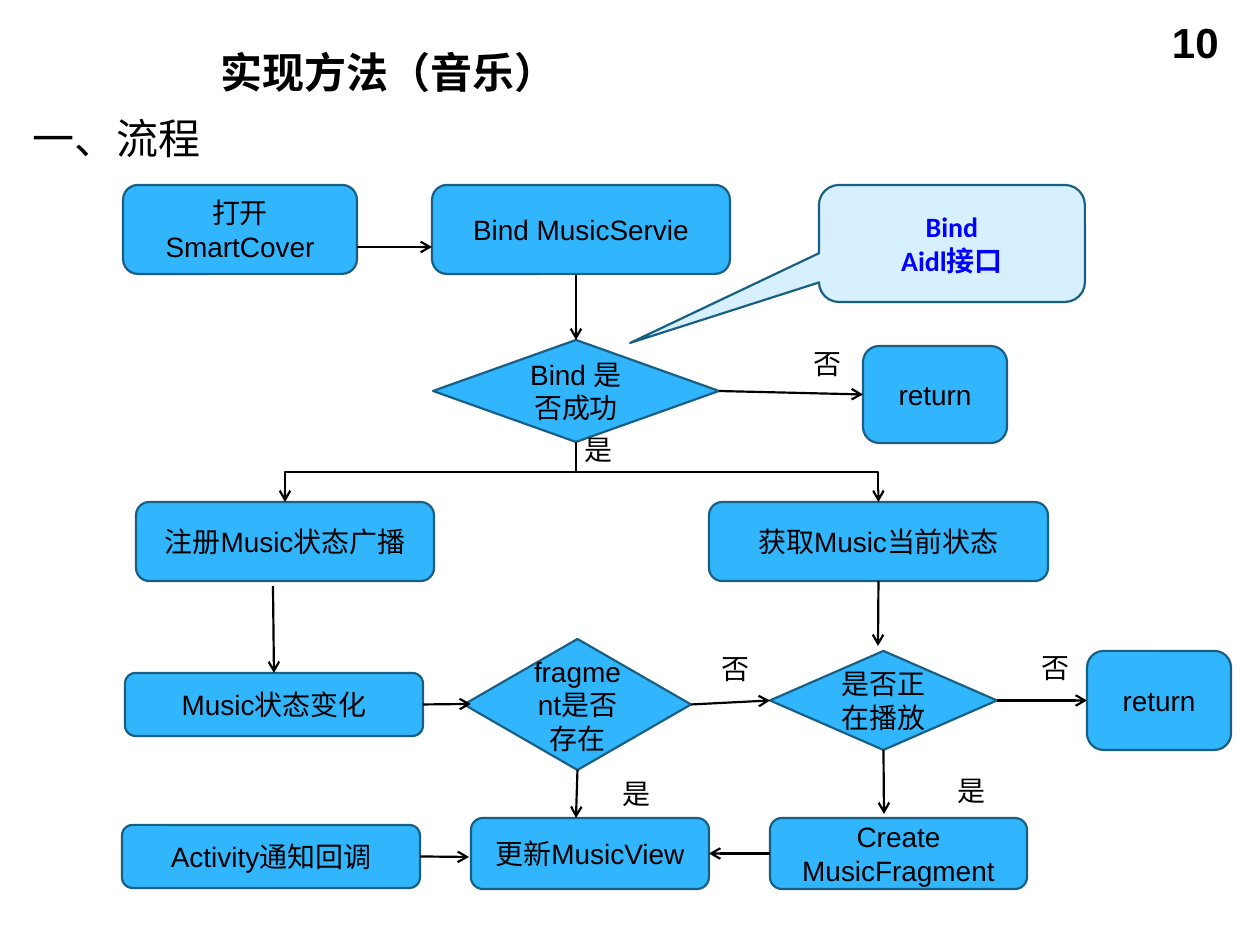
import pptx
import pptx.util
import pptx.dml.color
import pptx.enum.shapes
import pptx.enum.text
import pptx.oxml

EMU_PER_PX = 914400 / 126
SHAPE = pptx.enum.shapes.MSO_SHAPE
CONNECTOR = pptx.enum.shapes.MSO_CONNECTOR
ALIGN = pptx.enum.text.PP_ALIGN
MIDDLE = pptx.enum.text.MSO_ANCHOR.MIDDLE
TOP, LEFT, BOTTOM, RIGHT = range(4)


def px(n):
    return pptx.util.Emu(round(n * EMU_PER_PX))


def rgb(value):
    return pptx.dml.color.RGBColor.from_string(value)


def write(sp, text, size=16, font="Arial", color="000000", bold=False, align=ALIGN.LEFT):
    tf = sp.text_frame
    tf.word_wrap = True
    tf.text = text
    for p in tf.paragraphs:
        p.alignment = align
        for r in p.runs:
            r.font.size = pptx.util.Pt(size)
            r.font.name = font
            r.font.bold = bold
            r.font.color.rgb = rgb(color)


def add_title(s, text, x, y, w, h):
    sp = s.shapes.title
    sp.left, sp.top, sp.width, sp.height = px(x), px(y), px(w), px(h)
    write(sp, text, 24, "Calibri", bold=True)
    sp.text_frame.vertical_anchor = MIDDLE


def add_label(s, text, x, y, w=62, h=46, **style):
    sp = s.shapes.add_textbox(px(x), px(y), px(w), px(h))
    write(sp, text, **style)


def add_node(s, text, x, y, w, h, kind=SHAPE.ROUNDED_RECTANGLE, fill="31B6FD", **style):
    sp = s.shapes.add_shape(kind, px(x), px(y), px(w), px(h))
    sp.shadow.inherit = False
    sp.fill.solid()
    sp.fill.fore_color.rgb = rgb(fill)
    sp.line.color.rgb = rgb("195F84")
    sp.line.width = pptx.util.Pt(1.25)
    write(sp, text, align=ALIGN.CENTER, **style)
    sp.text_frame.vertical_anchor = MIDDLE
    return sp


def add_arrow(s, start, end, kind=CONNECTOR.STRAIGHT):
    points = [p if isinstance(p[0], int) else (0, 0) for p in (start, end)]
    cxn = s.shapes.add_connector(kind, *[px(n) for p in points for n in p])
    if not isinstance(start[0], int):
        cxn.begin_connect(*start)
    if not isinstance(end[0], int):
        cxn.end_connect(*end)
    cxn.line.color.rgb = rgb("000000")
    cxn.line.width = pptx.util.Pt(1.25)
    ln = cxn.line._get_or_add_ln()
    ns = pptx.oxml.ns.qn
    ln.append(ln.makeelement(ns("a:tailEnd"), {"type": "arrow"}))
    ln.addnext(ln.makeelement(ns("a:effectLst"), {}))
    return cxn


def add_branch(s, start, end):
    cxn = add_arrow(s, start, end, CONNECTOR.ELBOW)
    to_right = cxn.end_x > cxn.begin_x
    center_x = (cxn.begin_x + cxn.end_x) // 2
    center_y = (cxn.begin_y + cxn.end_y) // 2
    across, down = cxn.width, cxn.height
    cxn.left, cxn.top = center_x - down // 2, center_y - across // 2
    cxn.width, cxn.height = down, across
    xfrm = cxn._element.spPr.find(pptx.oxml.ns.qn("a:xfrm"))
    xfrm.set("rot", str((270 if to_right else 90) * 60000))
    xfrm.set("flipH", "1" if to_right else "0")
    xfrm.set("flipV", "0")


def main():
    prs = pptx.Presentation()
    prs.slide_width, prs.slide_height = px(1260), px(945)
    s = prs.slides.add_slide(prs.slide_layouts[5])

    add_label(s, "10", 937, 10, 294, 66, size=24, bold=True, align=ALIGN.RIGHT)
    add_title(s, "实现方法（音乐）", 208, 38, 989, 68)
    add_label(s, "一、流程", 20, 106, 266, 63, size=24, font="Calibri")

    add_node(s, "打开SmartCover", 123, 185, 234, 89)
    add_node(s, "Bind MusicServie", 432, 185, 298, 89)
    callout = add_node(s, "Bind\nAidl接口", 819, 185, 266, 117,
                       SHAPE.ROUNDED_RECTANGULAR_CALLOUT, "D6F0FF",
                       font="Calibri", color="0000FF", bold=True)
    for i, value in enumerate((-1.21, 0.85, 0.17)):
        callout.adjustments[i] = value
    bound = add_node(s, "Bind 是否成功", 433, 340, 286, 102, SHAPE.DIAMOND)
    bind_return = add_node(s, "return", 863, 346, 144, 97)
    register = add_node(s, "注册Music状态广播", 136, 502, 298, 79)
    fetch = add_node(s, "获取Music当前状态", 709, 502, 339, 79)
    change = add_node(s, "Music状态变化", 125, 673, 298, 63)
    exists = add_node(s, "fragment是否存在", 464, 639, 227, 131, SHAPE.DIAMOND)
    playing = add_node(s, "是否正在播放", 770, 651, 227, 99, SHAPE.DIAMOND)
    play_return = add_node(s, "return", 1087, 651, 144, 99)
    update = add_node(s, "更新MusicView", 471, 818, 238, 71)
    create = add_node(s, "Create MusicFragment", 770, 818, 257, 71)
    activity = add_node(s, "Activity通知回调", 122, 825, 298, 63)

    for start, end in [
        ((357, 247), (432, 247)),
        ((576, 275), (bound, TOP)),
        ((bound, RIGHT), (bind_return, LEFT)),
        ((273, 586), (change, TOP)),
        ((fetch, BOTTOM), (878, 646)),
        ((change, RIGHT), (471, 704)),
        ((exists, RIGHT), (playing, LEFT)),
        ((playing, RIGHT), (play_return, LEFT)),
        ((exists, BOTTOM), (576, 818)),
        ((playing, BOTTOM), (884, 814)),
        ((create, LEFT), (update, RIGHT)),
        ((activity, RIGHT), (469, 857)),
    ]:
        add_arrow(s, start, end)
    for target in (register, fetch):
        add_branch(s, (bound, BOTTOM), (target, TOP))

    for text, x, y in [
        ("否", 801, 340), ("是", 572, 426), ("否", 1029, 644),
        ("否", 709, 645), ("是", 945, 767), ("是", 610, 770),
    ]:
        add_label(s, text, x, y)

    prs.save("out.pptx")


if __name__ == "__main__":
    main()
